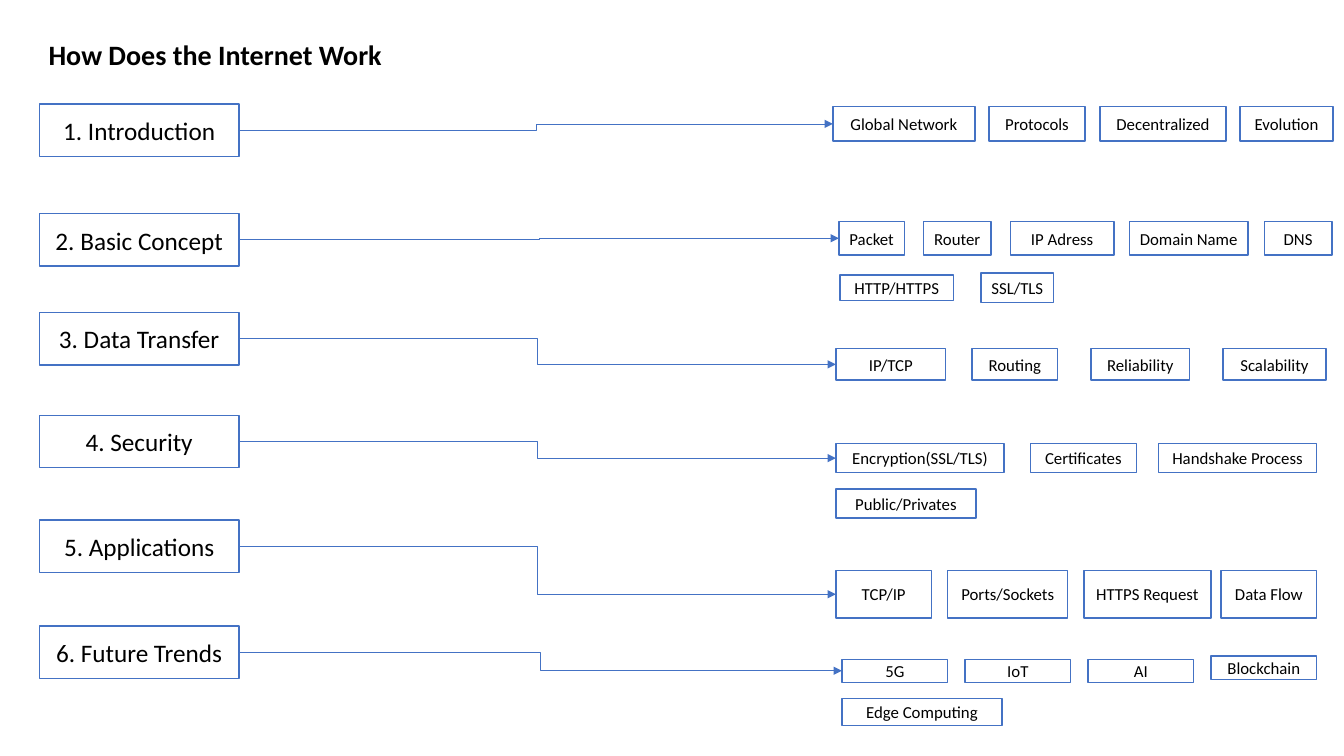
"""Build the slide outlining how the Internet works."""
from dataclasses import dataclass
from typing import NamedTuple

import pptx
import pptx.dml.color
import pptx.enum.shapes
import pptx.enum.text
import pptx.oxml
import pptx.oxml.ns
import pptx.shapes.autoshape
import pptx.slide
import pptx.text.text
import pptx.util

SCALE = 9144
LEFT, WIDE, HIGH = 39, 198, 52


@dataclass(frozen=True)
class Theme:
    font: str = "Calibri"
    ink: str = "000000"
    fill: str = "FFFFFF"
    line: str = "4472C4"
    title: int = 20
    topic: int = 18
    tag: int = 12
    edge: float = 1
    link: float = 0.5


class Tag(NamedTuple):
    text: str
    left: int
    wide: int


class Row(NamedTuple):
    top: int
    high: int
    tags: list[Tag]


class Topic(NamedTuple):
    text: str
    top: int
    rows: list[Row]


THEME = Theme()
TOPICS = [
    Topic("1. Introduction", 103, [
        Row(106, 34, [Tag("Global Network", 826, 141), Tag("Protocols", 981, 95),
                      Tag("Decentralized", 1091, 125), Tag("Evolution", 1230, 92)]),
    ]),
    Topic("2. Basic Concept", 212, [
        Row(220, 33, [Tag("Packet", 832, 65), Tag("Router", 916, 67),
                      Tag("IP Adress", 1002, 103), Tag("Domain Name", 1120, 118),
                      Tag("DNS", 1254, 67)]),
        Row(273, 25, [Tag("HTTP/HTTPS", 833, 113)]),
        Row(271, 29, [Tag("SSL/TLS", 973, 72)]),
    ]),
    Topic("3. Data Transfer", 310, [
        Row(346, 31, [Tag("IP/TCP", 829, 109), Tag("Routing", 964, 85),
                      Tag("Reliability", 1082, 98), Tag("Scalability", 1213, 102)]),
    ]),
    Topic("4. Security", 412, [
        Row(440, 29, [Tag("Encryption(SSL/TLS)", 829, 167),
                      Tag("Certificates", 1022, 105),
                      Tag("Handshake Process", 1149, 157)]),
        Row(485, 29, [Tag("Public/Privates", 829, 139)]),
    ]),
    Topic("5. Applications", 516, [
        Row(566, 47, [Tag("TCP/IP", 829, 95), Tag("Ports/Sockets", 940, 119),
                      Tag("HTTPS Request", 1075, 126), Tag("Data Flow", 1211, 95)]),
    ]),
    Topic("6. Future Trends", 621, [
        Row(654, 23, [Tag("5G", 835, 105), Tag("IoT", 957, 105), Tag("AI", 1079, 105)]),
        Row(651, 23, [Tag("Blockchain", 1201, 105)]),
        Row(693, 27, [Tag("Edge Computing", 835, 159)]),
    ]),
]


def emu(px: int) -> pptx.util.Emu:
    return pptx.util.Emu(px * SCALE)


def rgb(code: str) -> pptx.dml.color.RGBColor:
    return pptx.dml.color.RGBColor.from_string(code)


def write(frame: pptx.text.text.TextFrame, text: str, size: int, bold: bool = False) -> None:
    frame.text = text
    frame.word_wrap = True
    para = frame.paragraphs[0]
    para.alignment = pptx.enum.text.PP_ALIGN.CENTER
    para.font.name = THEME.font
    para.font.size = pptx.util.Pt(size)
    para.font.bold = bold
    para.font.color.rgb = rgb(THEME.ink)


def box(shapes, text: str, size: int, left: int, top: int, wide: int,
        high: int) -> pptx.shapes.autoshape.Shape:
    rect = shapes.add_shape(pptx.enum.shapes.MSO_SHAPE.RECTANGLE,
                            emu(left), emu(top), emu(wide), emu(high))
    rect.shadow.inherit = False
    rect.fill.solid()
    rect.fill.fore_color.rgb = rgb(THEME.fill)
    rect.line.color.rgb = rgb(THEME.line)
    rect.line.width = pptx.util.Pt(THEME.edge)
    frame = rect.text_frame
    frame.margin_left = frame.margin_right = 0
    frame.margin_top = frame.margin_bottom = 0
    frame.vertical_anchor = pptx.enum.text.MSO_ANCHOR.MIDDLE
    write(frame, text, size)
    return rect


def link(slide: pptx.slide.Slide, start: pptx.shapes.autoshape.Shape,
         end: pptx.shapes.autoshape.Shape) -> None:
    line = slide.shapes.add_connector(pptx.enum.shapes.MSO_CONNECTOR.ELBOW, 0, 0, 0, 0)
    line.begin_connect(start, 3)
    line.end_connect(end, 1)
    line.line.color.rgb = rgb(THEME.line)
    line.line.width = pptx.util.Pt(THEME.link)
    space = pptx.oxml.ns.nsdecls("a")
    stroke = line.line._get_or_add_ln()
    stroke.append(pptx.oxml.parse_xml(f'<a:tailEnd {space} type="triangle"/>'))
    stroke.getparent().append(pptx.oxml.parse_xml(f"<a:effectLst {space}/>"))


def head(slide: pptx.slide.Slide) -> None:
    title, sub = slide.placeholders
    sub.element.getparent().remove(sub.element)
    title.left, title.top, title.width, title.height = map(emu, (33, 15, 361, 61))
    write(title.text_frame, "How Does the Internet Work", THEME.title, True)
    title.text_frame.vertical_anchor = pptx.enum.text.MSO_ANCHOR.BOTTOM
    title.text_frame.paragraphs[0].line_spacing = 0.9


def draw(slide: pptx.slide.Slide, topic: Topic) -> None:
    start = box(slide.shapes, topic.text, THEME.topic, LEFT, topic.top, WIDE, HIGH)
    group = slide.shapes.add_group_shape()
    tags = [box(group.shapes, tag.text, THEME.tag, tag.left, row.top, tag.wide, row.high)
            for row in topic.rows for tag in row.tags]
    link(slide, start, tags[0])


def main() -> None:
    deck = pptx.Presentation()
    deck.slide_width, deck.slide_height = emu(1333), emu(750)
    slide = deck.slides.add_slide(deck.slide_layouts[0])
    head(slide)
    for topic in TOPICS:
        draw(slide, topic)
    deck.save("out.pptx")


if __name__ == "__main__":
    main()
